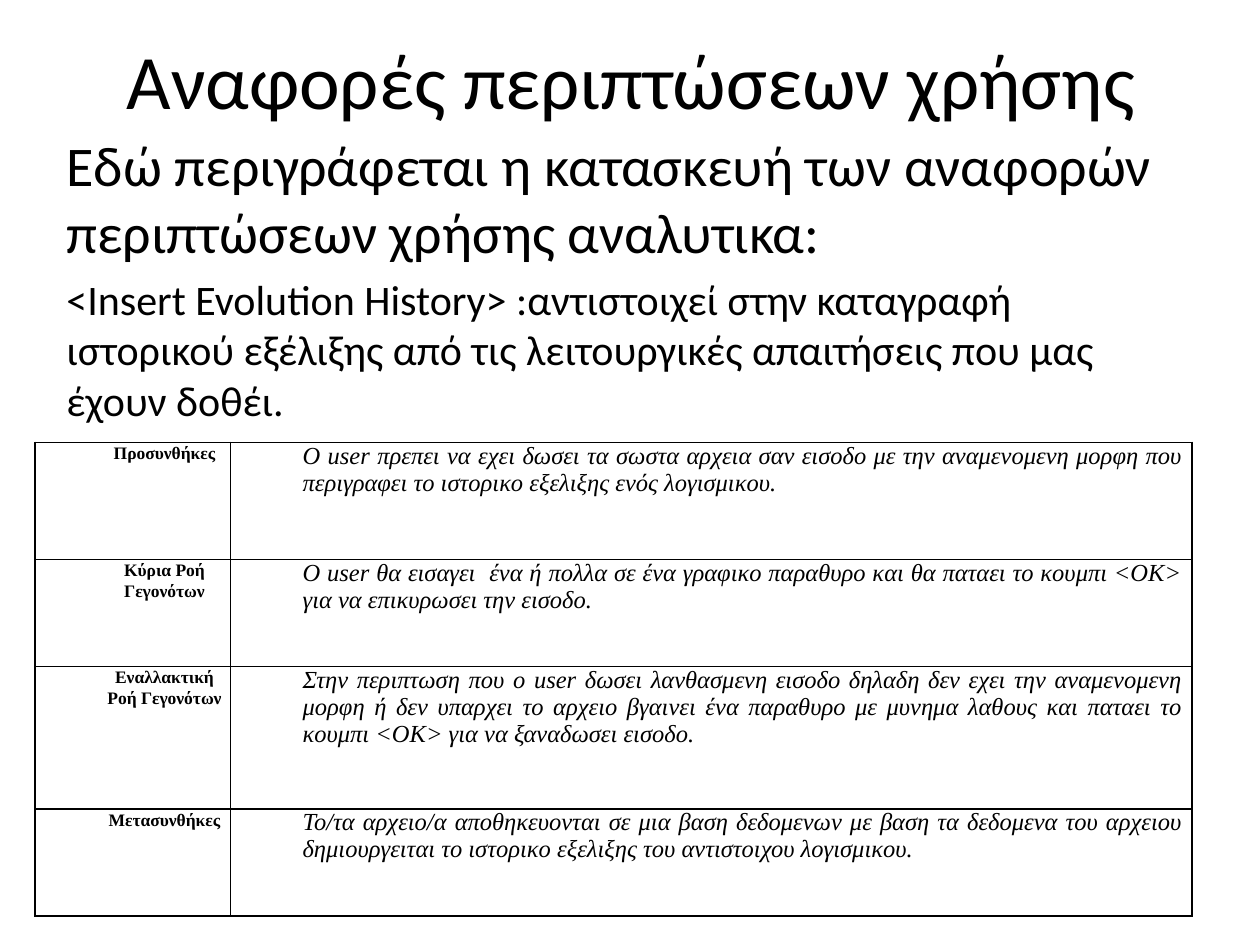
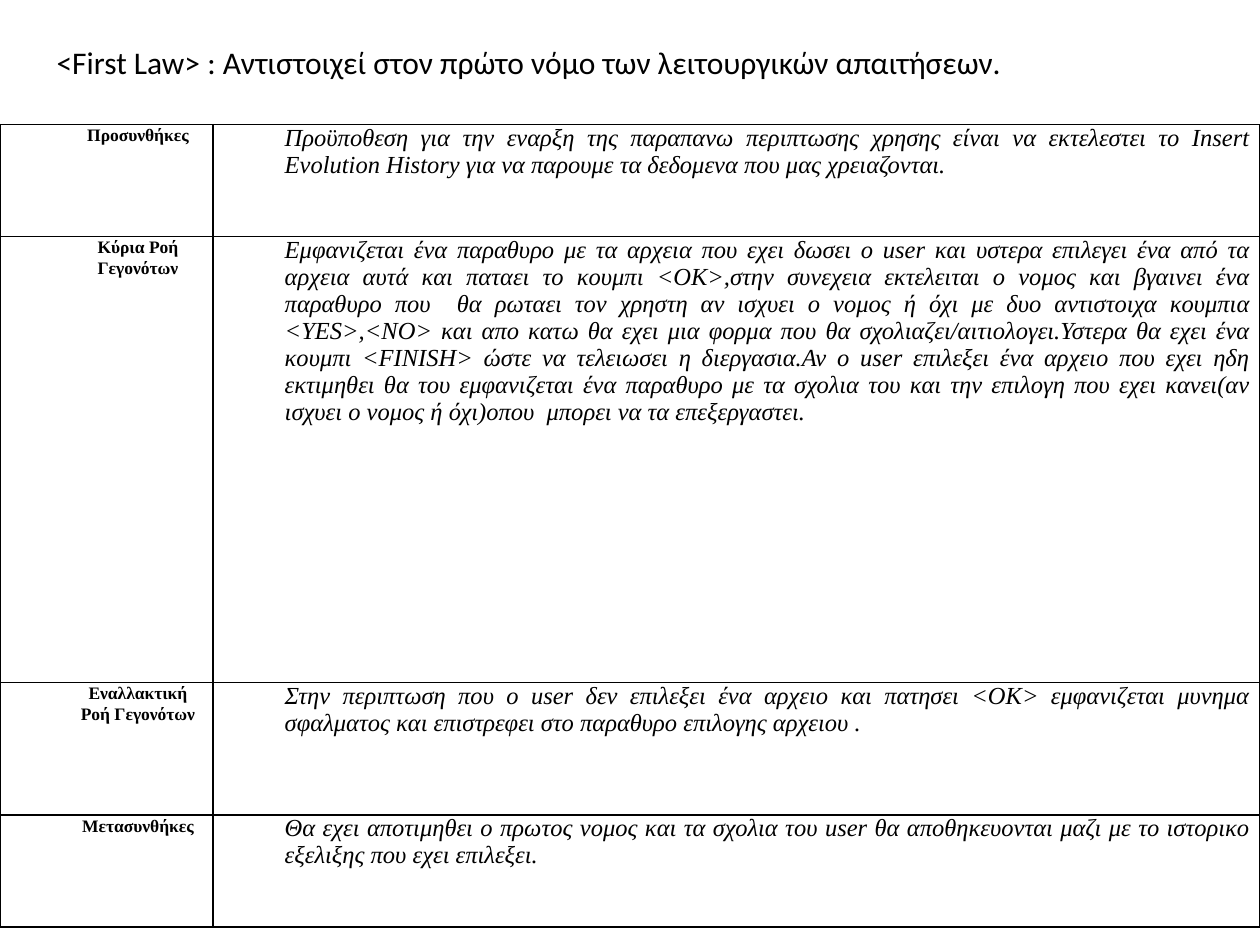
import pptx
import pptx.util
import pptx.dml.color
import pptx.enum.text
import pptx.oxml
import pptx.oxml.ns
from lxml import etree

Cm = pptx.util.Cm
Pt = pptx.util.Pt
ALIGN = pptx.enum.text.PP_ALIGN
ANCHOR = pptx.enum.text.MSO_ANCHOR

INK = "000000"
HEADING_FONT = "Calibri"
TABLE_FONT = "Times New Roman"
BORDER_WIDTH = Pt(1)
CELL_MARGIN = Cm(0.18)
CELL_INDENT = Cm(1.27)
STEP_LABELS = [
    "Προσυνθήκες",
    "Κύρια Ροή Γεγονότων",
    "Εναλλακτική Ροή Γεγονότων",
    "Μετασυνθήκες",
]

HISTORY_STEPS = [
    "Ο user πρεπει να εχει δωσει τα σωστα αρχεια σαν εισοδο με την αναμενομενη μορφη που "
    "περιγραφει το ιστορικο εξελιξης ενός λογισμικου.",
    "Ο user θα εισαγει  ένα ή πολλα σε ένα γραφικο παραθυρο και θα παταει το κουμπι <ΟΚ> "
    "για να επικυρωσει την εισοδο. ",
    "Στην περιπτωση που ο user δωσει λανθασμενη εισοδο δηλαδη δεν εχει την αναμενομενη "
    "μορφη ή δεν υπαρχει το αρχειο βγαινει ένα παραθυρο με μυνημα λαθους και παταει το "
    "κουμπι <ΟΚ> για να ξαναδωσει εισοδο.",
    "Το/τα αρχειο/α αποθηκευονται σε μια βαση δεδομενων με βαση τα δεδομενα του αρχειου "
    "δημιουργειται το ιστορικο εξελιξης του αντιστοιχου λογισμικου.",
]

FIRST_LAW_STEPS = [
    "Προϋποθεση για την εναρξη της παραπανω περιπτωσης χρησης είναι να εκτελεστει το Insert "
    "Evolution History για να παρουμε τα δεδομενα που μας χρειαζονται.",
    "Εμφανιζεται ένα παραθυρο με τα αρχεια που εχει δωσει ο user και υστερα επιλεγει ένα από τα "
    "αρχεια αυτά και παταει το κουμπι <ΟΚ>,στην συνεχεια εκτελειται ο νομος και βγαινει ένα "
    "παραθυρο που  θα ρωταει τον χρηστη αν ισχυει ο νομος ή όχι με δυο αντιστοιχα κουμπια "
    "<YES>,<NO> και απο κατω θα εχει μια φορμα που θα σχολιαζει/αιτιολογει.Υστερα θα εχει ένα "
    "κουμπι <FINISH> ώστε να τελειωσει η διεργασια.Αν ο user επιλεξει ένα αρχειο που εχει ηδη "
    "εκτιμηθει θα του εμφανιζεται ένα παραθυρο με τα σχολια του και την επιλογη που εχει κανει(αν "
    "ισχυει ο νομος ή όχι)οπου  μπορει να τα επεξεργαστει.",
    "Στην περιπτωση που ο user δεν επιλεξει ένα αρχειο και πατησει <ΟΚ> εμφανιζεται μυνημα "
    "σφαλματος και επιστρεφει στο παραθυρο επιλογης αρχειου .",
    "Θα εχει αποτιμηθει ο πρωτος νομος και τα σχολια του user θα αποθηκευονται μαζι με το ιστορικο "
    "εξελιξης που εχει επιλεξει.",
]


def color(hex_string):
    return pptx.dml.color.RGBColor.from_string(hex_string)


def add_run(paragraph, text, size, font, bold=False, italic=False):
    run = paragraph.add_run()
    run.text = text
    run.font.size = Pt(size)
    run.font.name = font
    run.font.bold = bold
    run.font.italic = italic
    run.font.color.rgb = color(INK)


def add_text(slide, box, lines, align=ALIGN.LEFT, anchor=ANCHOR.TOP, space_ratio=0):
    frame = slide.shapes.add_textbox(*map(Cm, box)).text_frame
    frame.word_wrap = True
    frame.vertical_anchor = anchor
    for index, (text, size) in enumerate(lines):
        paragraph = frame.add_paragraph() if index else frame.paragraphs[0]
        paragraph.alignment = align
        paragraph.space_before = Pt(size * space_ratio)
        add_run(paragraph, text, size, HEADING_FONT)


def outline_cell(cell):
    properties = cell._tc.get_or_add_tcPr()
    for side in ("a:lnL", "a:lnR", "a:lnT", "a:lnB"):
        line = etree.SubElement(properties, pptx.oxml.ns.qn(side), w=str(BORDER_WIDTH))
        fill = etree.SubElement(line, pptx.oxml.ns.qn("a:solidFill"))
        etree.SubElement(fill, pptx.oxml.ns.qn("a:srgbClr"), val=INK)
    cell.fill.background()


def start_cell(cell, align):
    outline_cell(cell)
    cell.margin_left = cell.margin_right = CELL_MARGIN
    cell.margin_top = cell.margin_bottom = 0
    paragraph = cell.text_frame.paragraphs[0]
    paragraph.alignment = align
    paragraph.space_after = Pt(6)
    indent = paragraph._p.get_or_add_pPr()
    indent.set("marL", str(CELL_INDENT))
    indent.set("indent", "0")
    return paragraph


def add_use_case_table(slide, left, top, widths, heights, steps):
    frame = slide.shapes.add_table(
        len(heights), len(widths), Cm(left), Cm(top), Cm(sum(widths)), Cm(sum(heights)))
    table = frame.table
    table.first_row = table.horz_banding = False
    for column, width in zip(table.columns, widths):
        column.width = Cm(width)
    for row, height, label, step in zip(table.rows, heights, STEP_LABELS, steps):
        row.height = Cm(height)
        label_cell, step_cell = row.cells
        label_line = start_cell(label_cell, ALIGN.CENTER)
        label_line.line_spacing = Pt(12)
        add_run(label_line, label, 10, TABLE_FONT, bold=True)
        add_run(start_cell(step_cell, ALIGN.JUSTIFY), step, 14, TABLE_FONT, italic=True)


def build_history_slide(slide):
    add_text(slide, (1.3, 0, 22.86, 3.18), [("Αναφορές περιπτώσεων χρήσης", 44)],
             ALIGN.CENTER, ANCHOR.MIDDLE)
    add_text(slide, (1.09, 2.51, 22.86, 12.57), [
        ("Εδώ περιγράφεται η κατασκευή των αναφορών περιπτώσεων χρήσης αναλυτικα:", 32),
        ("<Insert Evolution History> :αντιστοιχεί στην καταγραφή ιστορικού εξέλιξης από τις "
         "λειτουργικές απαιτήσεις που μας έχουν δοθέι.", 24),
    ], space_ratio=0.2)
    add_use_case_table(slide, 0.71, 8.92, (3.94, 19.38), (2.36, 2.16, 2.87, 2.16), HISTORY_STEPS)


def build_first_law_slide(slide):
    add_use_case_table(slide, 0, 2.51, (4.29, 21.11), (2.26, 8.99, 2.67, 2.26), FIRST_LAW_STEPS)
    add_text(slide, (0.89, 0.74, 23.39, 1.02), [
        ("<First Law> : Αντιστοιχεί στον πρώτο νόμο των λειτουργικών απαιτήσεων.", 18)])


def main():
    deck = pptx.Presentation()
    deck.slide_width, deck.slide_height = Cm(25.4), Cm(19.05)
    for build in (build_history_slide, build_first_law_slide):
        build(deck.slides.add_slide(deck.slide_layouts[6]))
    deck.save("out.pptx")


if __name__ == "__main__":
    main()
